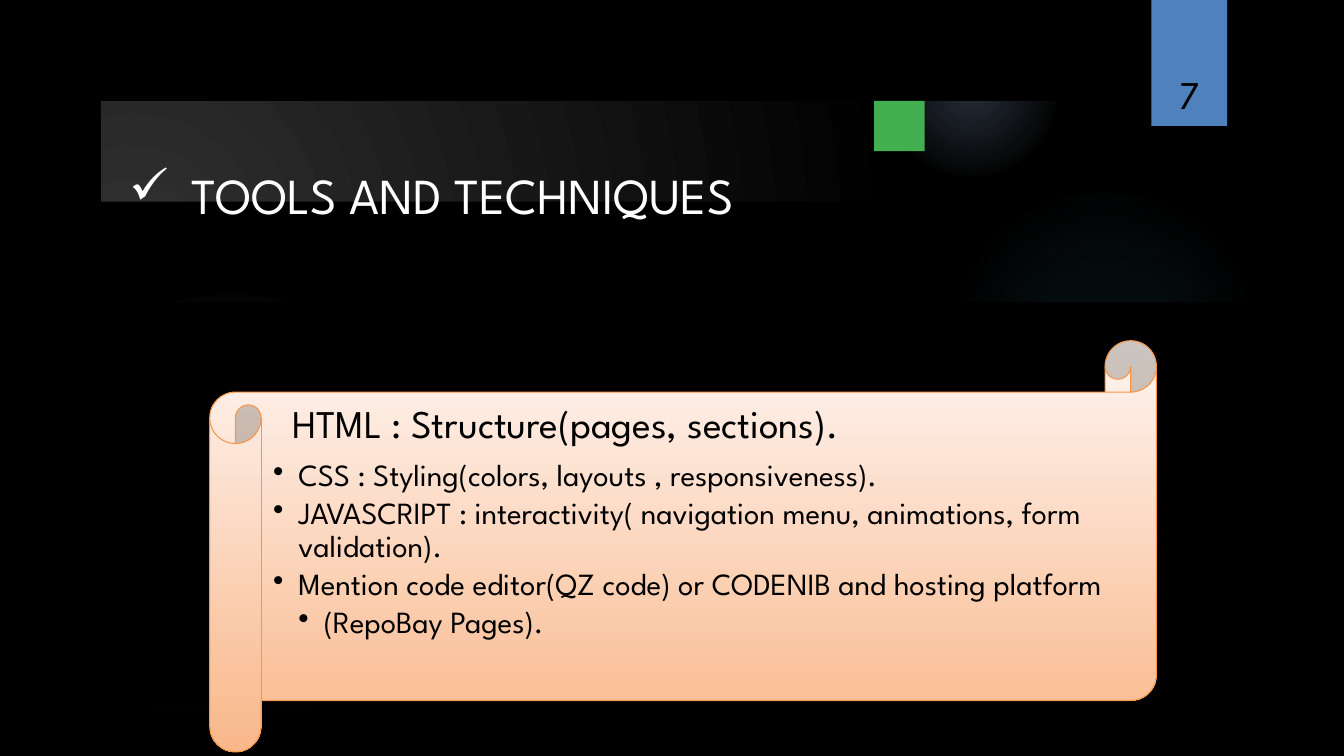
import lxml.etree
import pptx
import pptx.dml.color
import pptx.enum.shapes
import pptx.enum.text
import pptx.oxml.ns
import pptx.util

Inches = pptx.util.Inches
Pt = pptx.util.Pt
RGBColor = pptx.dml.color.RGBColor
Shape = pptx.enum.shapes.MSO_SHAPE
Anchor = pptx.enum.text.MSO_ANCHOR
Align = pptx.enum.text.PP_ALIGN
qn = pptx.oxml.ns.qn

BLACK = RGBColor(0x00, 0x00, 0x00)
WHITE = RGBColor(0xFF, 0xFF, 0xFF)
CHARCOAL = RGBColor(0x30, 0x30, 0x30)
TEAL = RGBColor(0x4B, 0xAC, 0xC6)
MIST = RGBColor(0x95, 0xB3, 0xD7)
BLUE = RGBColor(0x4F, 0x81, 0xBD)
GREEN = RGBColor(0x42, 0xAF, 0x51)
ORANGE = RGBColor(0xF7, 0x96, 0x46)
CREAM = RGBColor(0xFE, 0xF5, 0xF1)
PEACH = RGBColor(0xF9, 0xB7, 0x8A)

GLOWS = [
    (9.41, 1.83, 3.08, TEAL, [(0, 7), (36, 6), (69, 0)]),
    (8.75, 0, 1.75, MIST, [(0, 14), (36, 7), (73, 0)]),
    (0, 3.17, 2.58, TEAL, [(0, 8), (36, 8), (72, 0)]),
    (0, 2.92, 4.58, MIST, [(0, 11), (36, 10), (75, 0)]),
]
HORIZON = [
    (12.83, 2.04), (12, 2.17), (11.16, 2.27), (10.32, 2.35), (9.49, 2.41),
    (8.67, 2.45), (7.86, 2.47), (7.08, 2.48), (6.32, 2.47), (5.59, 2.46),
    (4.88, 2.43), (4.01, 2.38), (3.21, 2.33), (2.49, 2.27), (1.87, 2.21),
    (1.35, 2.15), (0.94, 2.1), (0.5, 2.04),
]
SHEEN = [
    (9.34, 2.5), (10.3, 2.48), (11.6, 2.34), (12.89, 2.14), (12.83, 1.66),
    (12.36, 1.81), (11.78, 1.98), (11.21, 2.11), (10.64, 2.23), (10.1, 2.32),
    (9.59, 2.4), (9.3, 2.43),
]
TOOLS = [
    (1, "CSS : Styling(colors, layouts , responsiveness)."),
    (1, "JAVASCRIPT : interactivity( navigation menu, animations, form validation)."),
    (1, "Mention code editor(QZ code) or CODENIB and hosting platform"),
    (2, "(RepoBay Pages)."),
]


class ToolsSlide:
    """Draws styled elements on the current slide."""

    font = "League Spartan"

    def __init__(self, slide):
        self.slide = slide

    def gradient(self, owner, stops, center=None):
        owner.fill.solid()
        holder = owner._element
        solid = next(holder.iter(qn("a:solidFill")))
        grad = lxml.etree.Element(qn("a:gradFill"), rotWithShape="1")
        stop_list = lxml.etree.SubElement(grad, qn("a:gsLst"))
        for position, color, alpha in stops:
            stop = lxml.etree.SubElement(stop_list, qn("a:gs"), pos=str(position * 1000))
            tone = lxml.etree.SubElement(stop, qn("a:srgbClr"), val=str(color))
            if alpha < 100:
                lxml.etree.SubElement(tone, qn("a:alpha"), val=str(alpha * 1000))
        if center:
            circle = lxml.etree.SubElement(grad, qn("a:path"), path="circle")
            sides = {side: str(value * 1000) for side, value in zip("ltrb", center)}
            lxml.etree.SubElement(circle, qn("a:fillToRect"), **sides)
        else:
            lxml.etree.SubElement(grad, qn("a:lin"), ang="5400000", scaled="0")
        solid.getparent().replace(solid, grad)

    def shape(self, kind, left, top, width, height, color=None):
        shape = self.slide.shapes.add_shape(
            kind, Inches(left), Inches(top), Inches(width), Inches(height))
        shape.shadow.inherit = False
        shape.line.fill.background()
        if color is not None:
            shape.fill.solid()
            shape.fill.fore_color.rgb = color
        return shape

    def glow(self, left, top, size, color, fades):
        ellipse = self.shape(Shape.OVAL, left, top, size, size)
        self.gradient(ellipse, [(at, color, alpha) for at, alpha in fades], (50, 50, 50, 50))

    def outline(self, *contours, alpha=100):
        builder = self.slide.shapes.build_freeform(*contours[0][0], scale=Inches(1))
        builder.add_line_segments(contours[0][1:])
        for contour in contours[1:]:
            builder.move_to(*contour[0])
            builder.add_line_segments(contour[1:])
        shape = builder.convert_to_shape()
        shape.shadow.inherit = False
        shape.line.fill.background()
        shape.fill.solid()
        shape.fill.fore_color.rgb = BLACK
        if alpha < 100:
            tone = next(shape._element.iter(qn("a:srgbClr")))
            lxml.etree.SubElement(tone, qn("a:alpha"), val=str(alpha * 1000))

    def text_box(self, left, top, width, height, anchor, margins):
        box = self.slide.shapes.add_textbox(
            Inches(left), Inches(top), Inches(width), Inches(height))
        frame = box.text_frame
        frame.word_wrap = True
        frame.vertical_anchor = anchor
        frame.margin_left, frame.margin_top, frame.margin_right, frame.margin_bottom = map(
            Inches, margins)
        return frame

    def paragraph(self, paragraph, text, size, color=BLACK, bullet=None, left=0, hang=0):
        paragraph.text = text
        properties = paragraph._p.get_or_add_pPr()
        properties.set("marL", str(Inches(left)))
        properties.set("indent", str(Inches(-hang)))
        if bullet:
            lxml.etree.SubElement(properties, qn("a:buChar"), char=bullet)
        for run in paragraph.runs:
            run.font.size = Pt(size)
            run.font.name = self.font
            run.font.color.rgb = color


def main():
    deck = pptx.Presentation()
    deck.slide_width, deck.slide_height = Inches(13.33), Inches(7.5)
    slide = deck.slides.add_slide(deck.slide_layouts[6])
    page = ToolsSlide(slide)

    slide.background.fill.solid()
    page.gradient(slide.background, [(0, CHARCOAL, 100), (100, BLACK, 100)], (45, 65, 125, 100))
    for drop in (0, 1.02):
        for glow in GLOWS:
            page.glow(*glow)
        ground = [(0.5, 7), (12.83, 7)] + [(x, y + drop) for x, y in HORIZON]
        page.outline(ground)
        page.outline([(x, y + drop) for x, y in SHEEN], alpha=20)
    page.outline(
        [(0, 0), (0, 7.5), (13.33, 7.5), (13.33, 0)],
        [(12.81, 6.98), (12.81, 0.52), (0.52, 0.52), (0.52, 6.98)])

    page.shape(Shape.RECTANGLE, 11.42, 0, 0.75, 1.25, BLUE)
    page.shape(Shape.RECTANGLE, 8.67, 1, 0.5, 0.5, GREEN)

    title = page.text_box(1.26, 1.61, 9.65, 0.62, Anchor.MIDDLE, (0, 0.01, 0, 0))
    page.paragraph(title.paragraphs[0], "TOOLS AND TECHNIQUES", 36, WHITE, "✓", 0.64, 0.62)

    number = page.text_box(11.32, 0.32, 0.92, 0.84, Anchor.BOTTOM, (0, 0.01, 0, 0))
    page.paragraph(number.paragraphs[0], "7", 28, left=0.04)
    number.paragraphs[0].alignment = Align.CENTER

    scroll = page.shape(Shape.HORIZONTAL_SCROLL, 2.08, 3.38, 9.39, 4.08)
    page.gradient(scroll, [(0, CREAM, 100), (100, PEACH, 100)])
    scroll.line.color.rgb = ORANGE
    scroll.line.width = Pt(0.75)

    tools = page.text_box(2.59, 3.89, 8.63, 3.06, Anchor.TOP, (0.12,) * 4)
    heading = tools.paragraphs[0]
    heading.line_spacing = 0.9
    heading.space_after = Pt(9.8)
    page.paragraph(heading, "HTML : Structure(pages, sections).", 28, left=0.19)
    for level, text in TOOLS:
        item = tools.add_paragraph()
        item.level = level
        item.line_spacing = 0.9
        item.space_after = Pt(3.3)
        page.paragraph(item, text, 22, bullet="•", left=level * 0.25, hang=0.25)

    deck.save("out.pptx")


if __name__ == "__main__":
    main()
